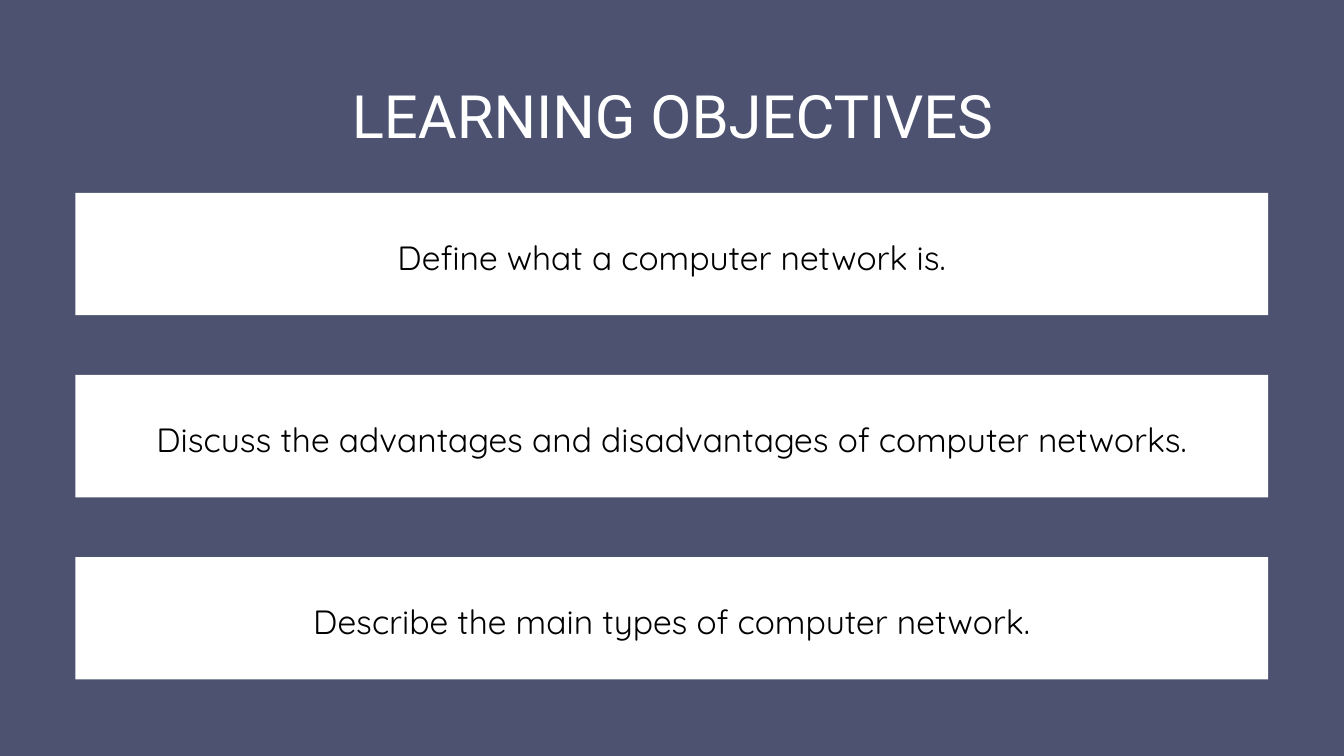
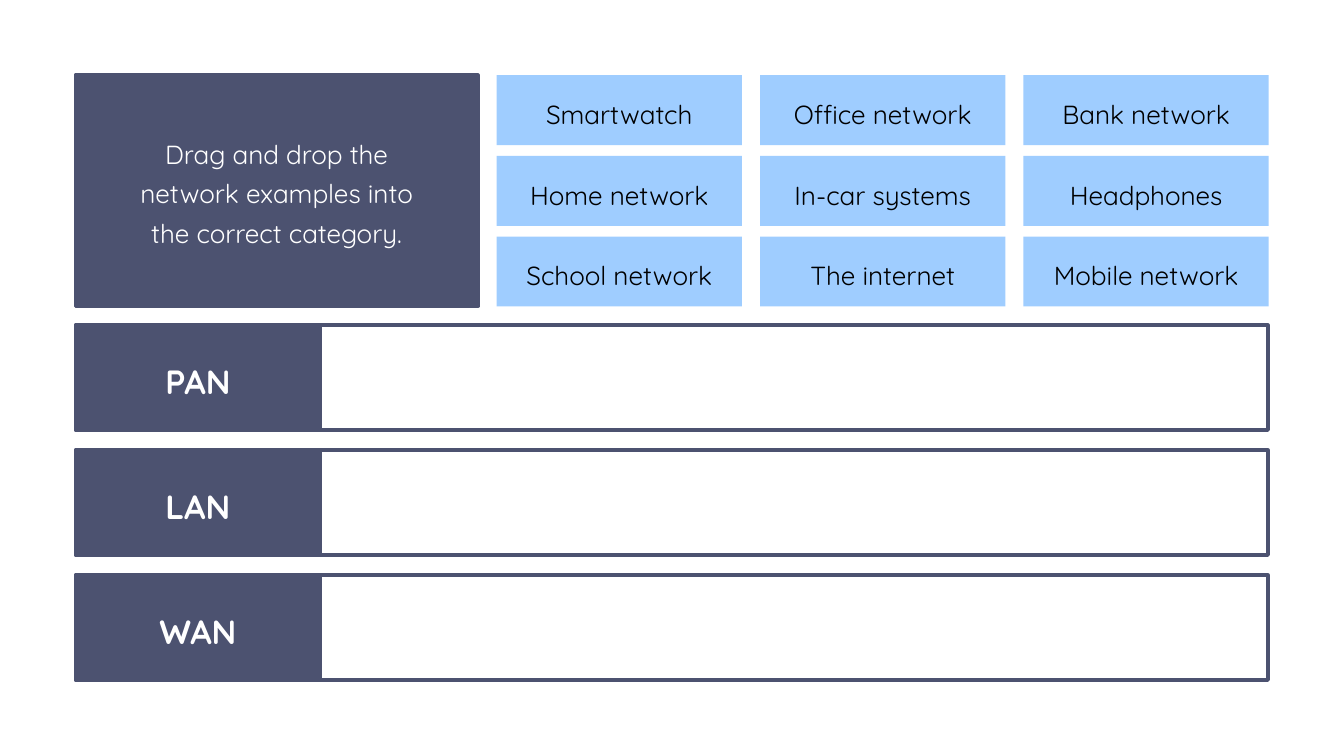
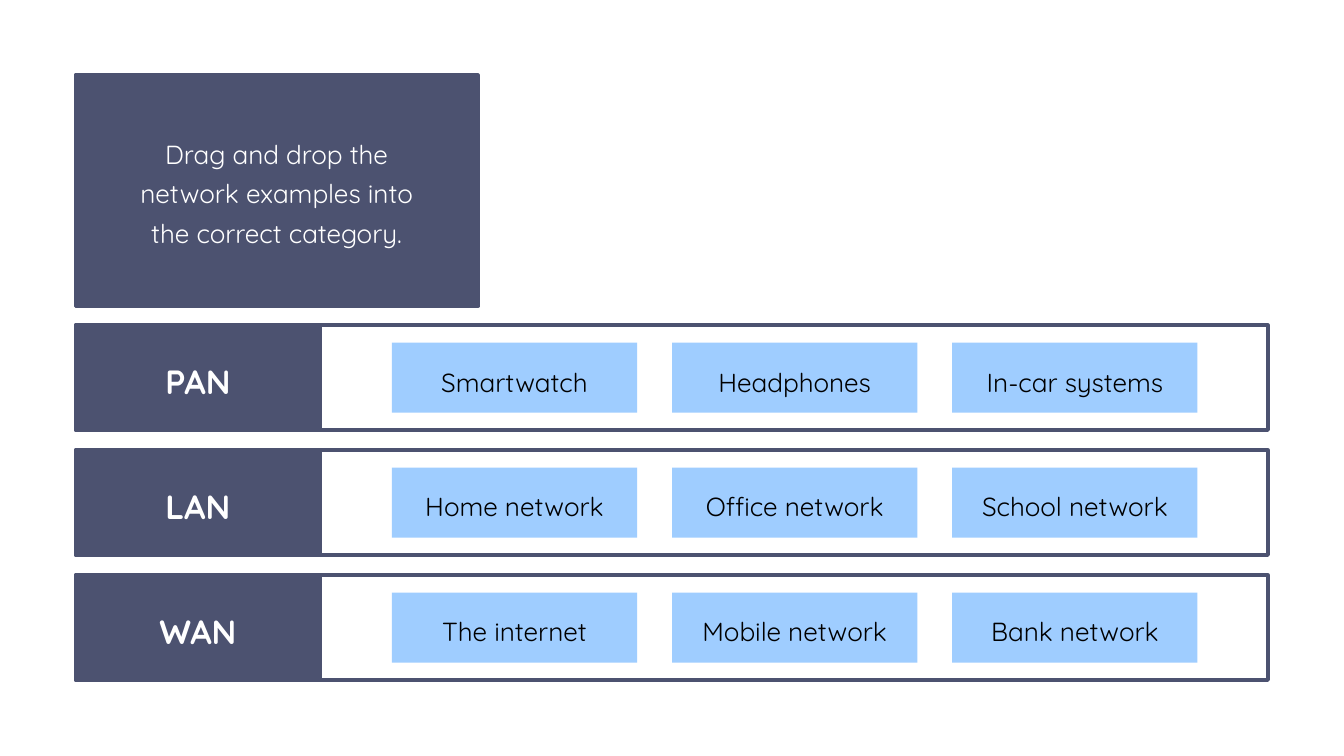
from pptx import Presentation
from pptx import util as u
from pptx.dml.color import RGBColor
from pptx.enum import shapes, text

HUES = {"navy": "4C5270", "sky": "9FCDFF", "white": "FFFFFF", "black": "000000"}
BODY, HEAD = "Quicksand", "Roboto"
LEFT, TOP = 1.12, 1.12
TILE_W, TILE_H = 3.65, 1.04
ROW_TOP, ROW_H, ROW_STEP = 4.84, 1.56, 1.86
KINDS = ["PAN", "LAN", "WAN"]
GOALS = [
    "Define what a computer network is.",
    "Discuss the advantages and disadvantages of computer networks.",
    "Describe the main types of computer network.",
]
MIXED = [
    ["Smartwatch", "Office network", "Bank network"],
    ["Home network", "In-car systems", "Headphones"],
    ["School network", "The internet", "Mobile network"],
]
SORTED = [
    ["Smartwatch", "Headphones", "In-car systems"],
    ["Home network", "Office network", "School network"],
    ["The internet", "Mobile network", "Bank network"],
]


def tint(name):
    return RGBColor.from_string(HUES[name])


def write(shape, words, size, lead, hue, font=BODY, bold=False, pad=0, low=0):
    frame = shape.text_frame
    frame.word_wrap = True
    frame.auto_size = text.MSO_AUTO_SIZE.NONE
    frame.vertical_anchor = text.MSO_ANCHOR.MIDDLE
    frame.margin_left = frame.margin_right = u.Inches(pad)
    frame.margin_top, frame.margin_bottom = 0, u.Inches(low)
    para = frame.paragraphs[0]
    para.alignment = text.PP_ALIGN.CENTER
    para.line_spacing = u.Pt(lead)
    run = para.add_run()
    run.text = words
    run.font.name, run.font.size, run.font.bold = font, u.Pt(size), bold
    run.font.color.rgb = tint(hue)


def add_box(slide, left, top, width, height, fill=None, line=None):
    box = slide.shapes.add_shape(
        shapes.MSO_SHAPE.RECTANGLE, *map(u.Inches, (left, top, width, height)))
    box.shadow.inherit = False
    if fill:
        box.fill.solid()
        box.fill.fore_color.rgb = tint(fill)
    else:
        box.fill.background()
    if line:
        box.line.color.rgb = tint(line)
        box.line.width = u.Pt(3.75)
    else:
        box.line.fill.background()
    return box


def add_page(deck, layout, hue):
    slide = deck.slides.add_slide(deck.slide_layouts[layout])
    slide.background.fill.solid()
    slide.background.fill.fore_color.rgb = tint(hue)
    return slide


def add_title(slide, words):
    title = slide.shapes.title
    title.left, title.top = u.Inches(1.54), u.Inches(1)
    title.width, title.height = u.Inches(16.93), u.Inches(1.24)
    write(title, words, 64, 89.6, "white", HEAD)


def add_goals(slide):
    for i, goal in enumerate(GOALS):
        bar = add_box(slide, LEFT, 2.87 + i * 2.71, 17.75, 1.82, "white")
        write(bar, goal, 36, 54, "black", pad=0.42, low=0.06)


def add_tiles(slide, names, left, top, step_x, step_y):
    for r, row in enumerate(names):
        for c, name in enumerate(row):
            tile = add_box(slide, left + c * step_x, top + r * step_y,
                           TILE_W, TILE_H, "sky")
            write(tile, name, 28, 42, "black", pad=0.25)


def add_board(deck):
    slide = add_page(deck, 6, "white")
    task = add_box(slide, LEFT, TOP, 5.99, 3.44, "navy", "navy")
    write(task, "Drag and drop the network examples into the correct category.",
          28, 42, "white", pad=0.75, low=0.04)
    for i, kind in enumerate(KINDS):
        top = ROW_TOP + i * ROW_STEP
        add_box(slide, LEFT + TILE_W, top, 14.1, ROW_H, line="navy")
        label = add_box(slide, LEFT, top, TILE_W, ROW_H, "navy", "navy")
        write(label, kind, 36, 50.4, "white", bold=True, pad=0.28)
    return slide


def main():
    deck = Presentation()
    deck.slide_width, deck.slide_height = u.Inches(20), u.Inches(11.25)

    intro = add_page(deck, 5, "navy")
    add_title(intro, "LEARNING OBJECTIVES")
    add_goals(intro)

    add_tiles(add_board(deck), MIXED, 7.39, TOP, 3.92, 1.2)
    add_tiles(add_board(deck), SORTED, 5.83,
              ROW_TOP + (ROW_H - TILE_H) / 2, 4.17, ROW_STEP)

    deck.save("out.pptx")


if __name__ == "__main__":
    main()
